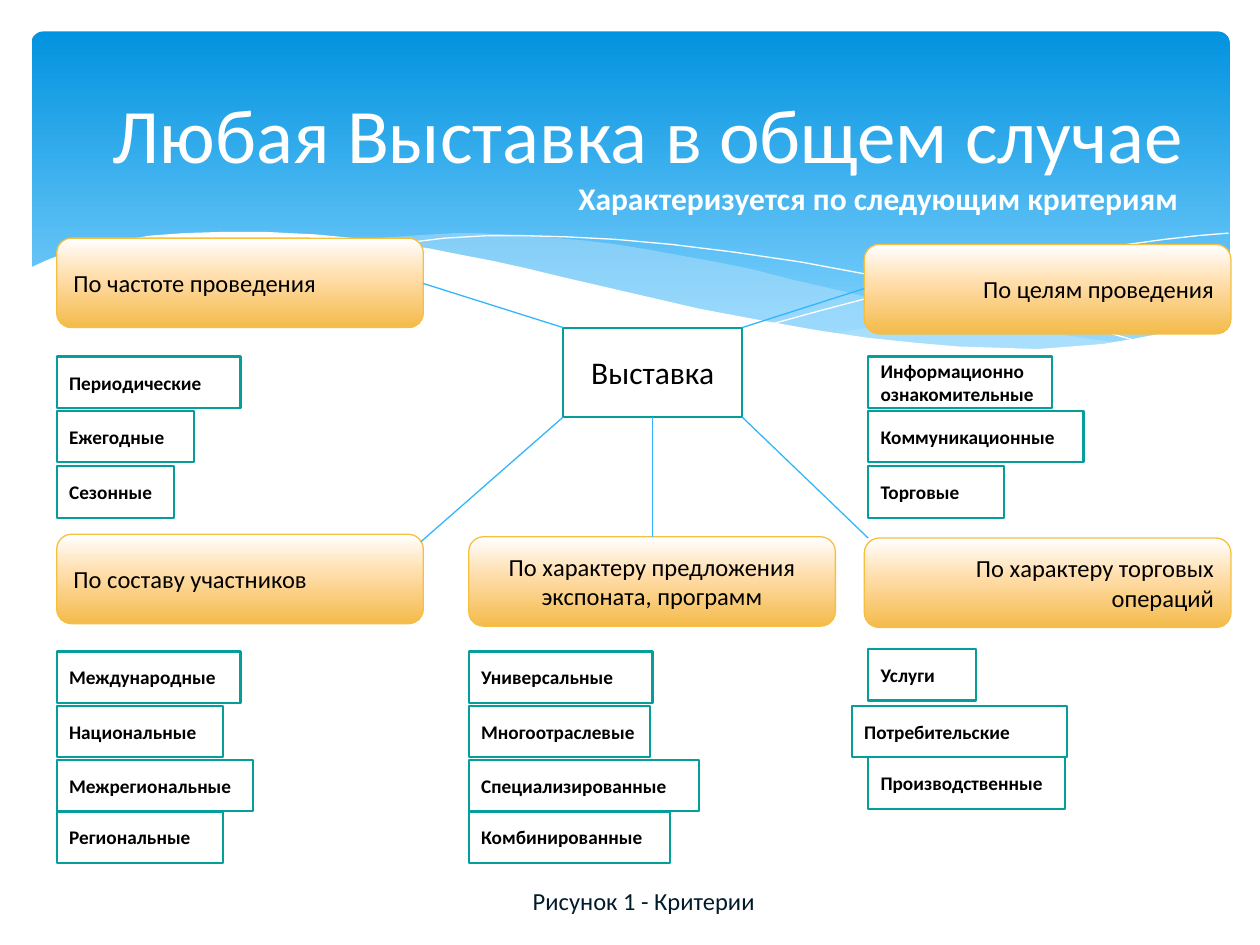
from copy import deepcopy

from pptx import Presentation
from pptx import util as u
from pptx.dml.color import RGBColor
from pptx.enum import shapes, text
from pptx.oxml import ns
from lxml import etree

PX = 9144
HUE = {"sky": "0293E0", "pale": "83D3FE", "mist": "C6E7FC", "white": "FFFFFF",
       "black": "000000", "teal": "049E9B", "gold": "F5C040", "peach": "FFDDAA",
       "amber": "F4BB4A", "blue": "31B6FD", "navy": "021B2B"}
SIDE = {"l": text.PP_ALIGN.LEFT, "c": text.PP_ALIGN.CENTER, "r": text.PP_ALIGN.RIGHT}
FORM = shapes.MSO_SHAPE

LEFT = [(976, 100), (962, 102), (935, 107), (906, 113), (861, 123), (805, 137),
        (753, 148), (706, 157), (661, 165), (691, 169), (719, 172), (745, 175),
        (769, 177), (803, 178), (835, 177), (863, 175), (889, 172), (913, 167),
        (935, 162), (949, 157), (963, 152), (976, 147)]
VEIL = [(893, 173), (866, 169), (837, 165), (807, 160), (775, 154), (741, 147),
        (706, 140), (668, 131), (629, 122), (598, 114), (569, 108), (541, 103),
        (514, 98), (489, 94), (465, 91), (442, 89), (420, 87), (399, 86),
        (380, 85), (361, 85), (344, 86), (328, 87), (313, 88), (299, 89),
        (286, 91), (323, 96), (362, 103), (404, 111), (449, 122), (491, 132),
        (530, 140), (566, 148), (601, 155), (634, 161), (665, 166), (695, 170),
        (722, 174), (748, 176), (773, 177), (796, 178), (838, 178), (867, 176)]
ARC = [(309, 95), (328, 92), (353, 89), (387, 87), (416, 87), (450, 88),
       (489, 90), (533, 94), (582, 100), (636, 108), (695, 119), (727, 126),
       (760, 133), (795, 141), (831, 151), (869, 161), (907, 172)]
RISE = [(613, 157), (653, 146), (695, 135), (748, 123), (806, 110), (866, 99),
        (895, 94), (924, 90), (951, 87), (975, 85)]
FOOT = [(977, 146), (959, 153), (940, 159), (920, 165), (899, 169), (875, 173),
        (850, 175), (823, 177), (793, 176), (761, 175), (726, 172), (688, 168),
        (648, 162), (603, 154), (555, 145), (503, 133), (447, 120), (418, 113),
        (391, 107), (365, 102), (340, 97), (316, 94), (292, 90), (271, 88),
        (250, 86), (230, 85), (211, 84), (177, 84), (146, 85), (119, 87),
        (95, 91), (76, 95), (59, 99), (46, 103), (36, 107), (23, 113),
        (23, 229), (977, 229)]


def tint(name):
    """Return the named colour."""
    return RGBColor.from_string(HUE[name])


def write(shape, words, size=11, hue="black", bold=False, side="l", mid=True, wrap=True):
    """Put one formatted paragraph into a shape."""
    frame = shape.text_frame
    frame.word_wrap = wrap
    frame.vertical_anchor = text.MSO_ANCHOR.MIDDLE if mid else text.MSO_ANCHOR.TOP
    par = frame.paragraphs[0]
    par.alignment = SIDE[side]
    run = par.add_run()
    run.text = words
    font = run.font
    font.name, font.size, font.bold = "Calibri", u.Pt(size), bold
    font.color.rgb = tint(hue)


def label(slide, box, words, **style):
    """Add a text box."""
    write(slide.shapes.add_textbox(*(n * PX for n in box)), words, **style)


def edge(shape, hue, width):
    """Set or clear an outline."""
    if hue:
        shape.line.color.rgb = tint(hue)
        shape.line.width = u.Pt(width)
    else:
        shape.line.fill.background()


def block(slide, form, box, hue=None, width=1.25):
    """Add a white preset shape."""
    shape = slide.shapes.add_shape(form, *(n * PX for n in box))
    shape.shadow.inherit = False
    shape.fill.solid()
    shape.fill.fore_color.rgb = tint("white")
    edge(shape, hue, width)
    return shape


def fade(shape, stops):
    """Fill a shape with a gradient from top to bottom."""
    fill = shape.fill
    fill.gradient()
    fill.gradient_angle = 270
    row = shape._element.spPr.find(".//" + ns.qn("a:gsLst"))
    while len(row) < len(stops):
        row.append(deepcopy(row[0]))
    for stop, (pos, hue) in zip(fill.gradient_stops, stops):
        stop.position = pos
        stop.color.rgb = tint(hue)


def curve(slide, box, pts, fill=None, alpha=100, line=None):
    """Draw an outline, closed when it has a fill."""
    pen = slide.shapes.build_freeform(*pts[0], scale=PX)
    pen.add_line_segments(pts[1:], close=bool(fill))
    shape = pen.convert_to_shape(box[0] * PX, box[1] * PX)
    shape.shadow.inherit = False
    edge(shape, line, 0)
    if not fill:
        shape.fill.background()
        return
    shape.fill.solid()
    shape.fill.fore_color.rgb = tint(fill)
    if alpha < 100:
        color = shape._element.spPr.find(ns.qn("a:solidFill"))[0]
        etree.SubElement(color, ns.qn("a:alpha")).set("val", str(alpha * 1000))


def banner(slide, box):
    """Draw the blue panel with its waves and headings."""
    x, y, w, h = box
    panel = block(slide, FORM.ROUNDED_RECTANGLE, box)
    panel.adjustments[0] = 0.034
    fade(panel, [(0, "sky"), (0.9, "pale")])
    wave = (x - 25, y + 75)
    curve(slide, wave, LEFT, fill="mist", alpha=29)
    curve(slide, wave, VEIL, fill="mist", alpha=40)
    for pts in (ARC, RISE):
        curve(slide, wave, pts, line="white")
    curve(slide, wave, FOOT, fill="white")
    label(slide, (x + 25, y + 12, w - 51, 137), "Любая Выставка в общем случае",
          size=44, hue="white", side="r")
    label(slide, (x + 407, y + 112, 513, 40), "Характеризуется по следующим критериям",
          size=18, hue="white", bold=True, side="r", mid=False, wrap=False)


def group(slide, box, head, side, rows, items, inset=0):
    """Draw a criterion and the boxes of its kinds below it."""
    x, y = box[:2]
    top = block(slide, FORM.ROUNDED_RECTANGLE, box, "gold", 0.75)
    fade(top, [(0, "white"), (0.44, "peach"), (1, "amber")])
    write(top, head, size=14, side=side)
    for down, (words, wide, *shift) in zip(rows, items):
        spot = (x + inset + sum(shift), y + down, wide, 41)
        write(block(slide, FORM.RECTANGLE, spot, "teal"), words, bold=True)


def hub(slide, box, ends):
    """Draw the central box and its lines to the criteria."""
    x, y, w, h = box
    write(block(slide, FORM.RECTANGLE, box, "teal"), "Выставка", size=18, side="c")
    for across, down, *end in ends:
        spots = (x + w * across // 2, y + h * down, *end)
        line = slide.shapes.add_connector(shapes.MSO_CONNECTOR.STRAIGHT,
                                          *(n * PX for n in spots))
        edge(line, "blue", 0.75)
        etree.SubElement(line._element.spPr, ns.qn("a:effectLst"))


def main():
    """Build and save the slide."""
    deck = Presentation()
    deck.slide_width, deck.slide_height = 1000 * PX, 750 * PX
    slide = deck.slides.add_slide(deck.slide_layouts[6])
    banner(slide, (25, 25, 951, 270))
    size = (291, 71)
    low = (93, 136, 179, 220)
    group(slide, (45, 189, *size), "По частоте проведения", "l", (94, 137, 181),
          [("Периодические", 146), ("Ежегодные", 109), ("Сезонные", 93)])
    group(slide, (686, 194, *size), "По целям проведения", "r", (89, 132, 176),
          [("Информационно ознакомительные", 146), ("Коммуникационные", 171),
           ("Торговые", 108)], inset=3)
    group(slide, (45, 424, *size), "По составу участников", "l", low,
          [("Международные", 146), ("Национальные", 132),
           ("Межрегиональные", 156), ("Региональные", 132)])
    group(slide, (372, 426, *size), "По характеру предложения экспоната, программ", "c",
          [n - 2 for n in low],
          [("Универсальные", 146), ("Многоотраслевые", 144),
           ("Специализированные", 183), ("Комбинированные", 160)])
    group(slide, (686, 427, *size), "По характеру торговых операций", "r", (88, 133, 174),
          [("Услуги", 86), ("Потребительские", 171, -13), ("Производственные", 156)],
          inset=3)
    hub(slide, (447, 260, 142, 71),
        [(0, 0, 336, 225), (2, 0, 686, 229), (0, 1, 334, 430),
         (2, 1, 689, 427), (1, 1, 518, 426)])
    label(slide, (413, 698, 210, 34), "Рисунок 1 - Критерии",
          size=14, hue="navy", mid=False)
    deck.save("out.pptx")


if __name__ == "__main__":
    main()
